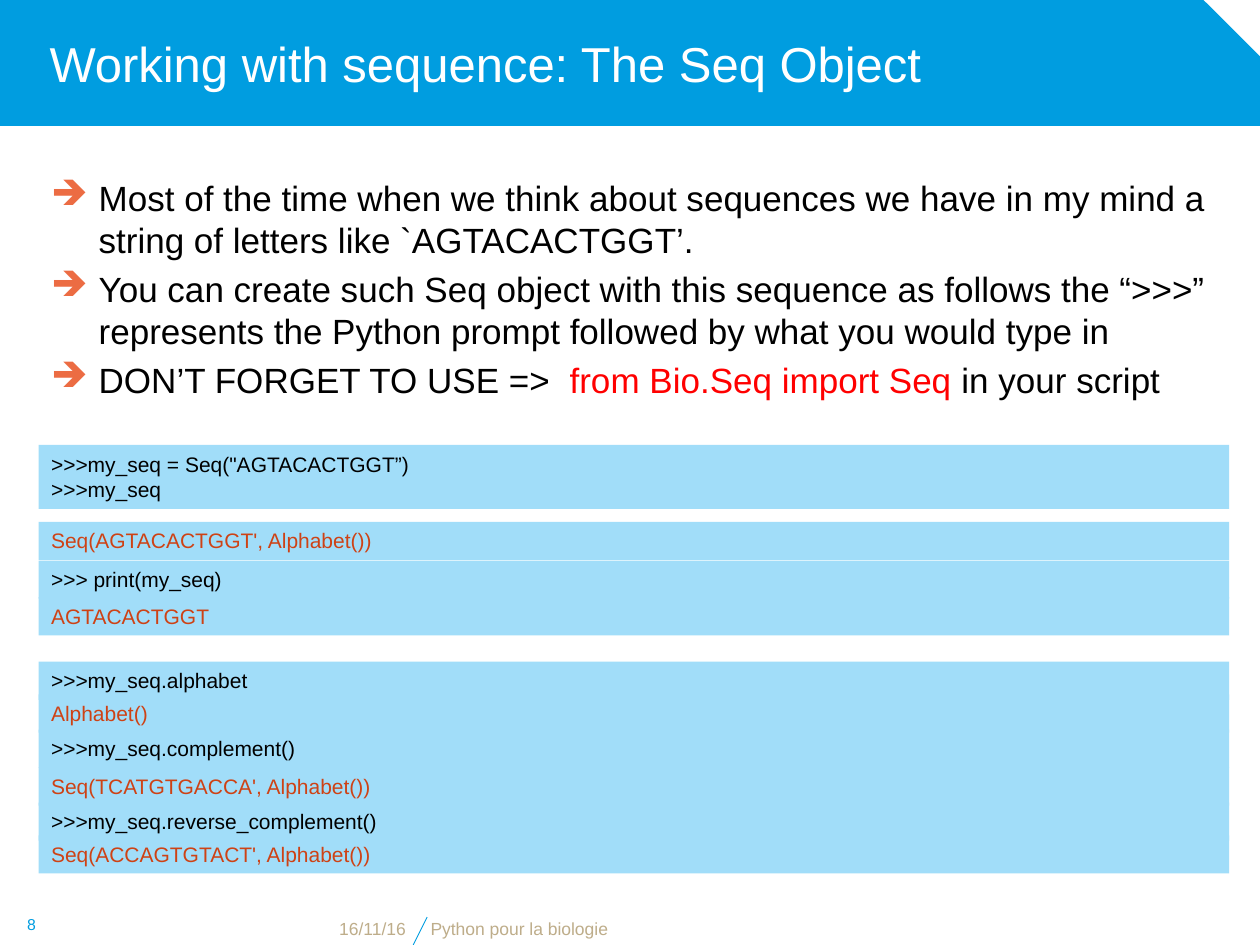
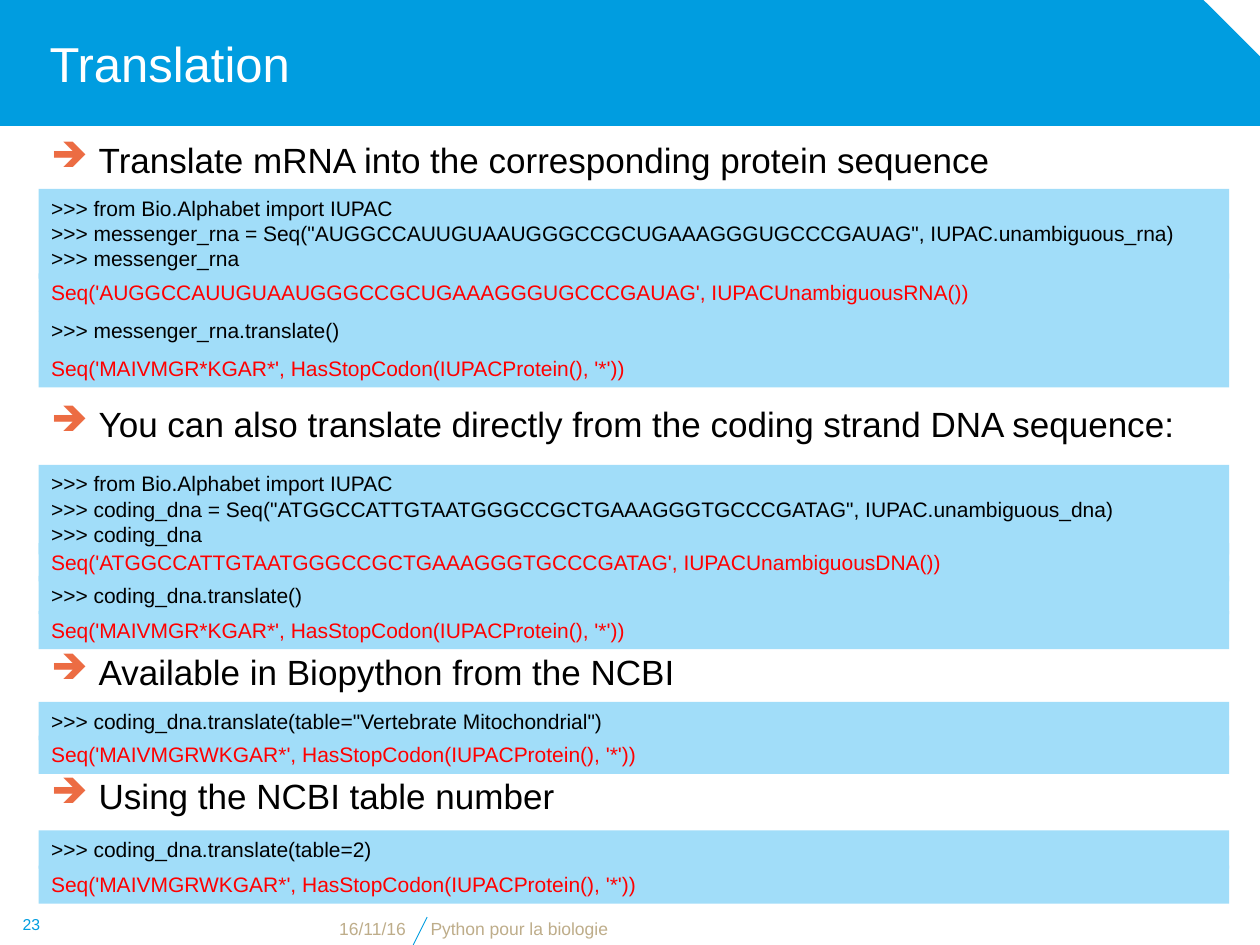
from dataclasses import dataclass

from lxml import etree
from pptx import Presentation
from pptx import util as u
from pptx.dml.color import RGBColor
from pptx.enum import shapes, text
from pptx.oxml import ns

Cm, Pt = u.Cm, u.Pt
LEFT, WIDTH = 0.78, 24.0  # shared column of bullets and code, in cm


@dataclass(frozen=True)
class Theme:
    font: str = "Arial"
    blue: str = "009DE0"
    code_fill: str = "A1DDF9"
    bullet: str = "EC6C43"
    footer: str = "BEAD8A"
    rust: str = "CE4215"
    red: str = "FF0000"
    black: str = "000000"
    white: str = "FFFFFF"
    title_size: int = 28
    body_size: int = 20
    code_size: int = 12
    footer_size: int = 10
    number_size: int = 9


def rgb(colour):
    return RGBColor.from_string(colour)


def box(left, top, width, height):
    return Cm(left), Cm(top), Cm(width), Cm(height)


def add_xml(parent, tag, **attrs):
    return etree.SubElement(parent, ns.qn(tag), attrs)


class Deck:
    def __init__(self, theme):
        self.theme = theme
        self.prs = Presentation()
        self.prs.slide_width, self.prs.slide_height = Cm(25.4), Cm(19.05)
        self.s = None

    def new_slide(self, title, number):
        self.s = self.prs.slides.add_slide(self.prs.slide_layouts[5])
        self.title(title)
        self.band()
        self.footer(number)

    def style(self, p, size, colour, align=text.PP_ALIGN.LEFT):
        p.alignment = align
        p.font.name, p.font.size = self.theme.font, Pt(size)
        p.font.color.rgb = rgb(colour)

    def title(self, words):
        sp = self.s.shapes.title
        sp.left, sp.top, sp.width, sp.height = box(0, 0, 24.13, 2.54)
        tf = sp.text_frame
        tf.text = words
        tf.auto_size = text.MSO_AUTO_SIZE.NONE
        tf.vertical_anchor = text.MSO_ANCHOR.MIDDLE
        tf.margin_left = Cm(1)
        self.style(tf.paragraphs[0], self.theme.title_size, self.theme.white)

    def rect(self, kind, frame, fill):
        sp = self.s.shapes.add_shape(kind, *frame)
        sp.shadow.inherit = False
        sp.fill.solid()
        sp.fill.fore_color.rgb = rgb(fill)
        sp.line.fill.background()
        return sp

    def band(self):
        """Blue band with a cut corner, behind the title."""
        sp = self.rect(shapes.MSO_SHAPE.SNIP_1_RECTANGLE, box(0, 0, 25.43, 2.54), self.theme.blue)
        sp.adjustments[0] = 0.46
        self.s.shapes.title.element.addprevious(sp.element)

    def label(self, words, frame, size, colour, align, anchor):
        tf = self.s.shapes.add_textbox(*frame).text_frame
        tf.word_wrap = True
        tf.vertical_anchor = anchor
        tf.text = words
        self.style(tf.paragraphs[0], size, colour, align)

    def footer(self, number):
        t, align, anchor = self.theme, text.PP_ALIGN, text.MSO_ANCHOR
        slash = self.s.shapes.add_connector(
            shapes.MSO_CONNECTOR.STRAIGHT, Cm(8.33), Cm(19.05), Cm(8.61), Cm(18.49))
        slash.line.color.rgb, slash.line.width = rgb(t.blue), Pt(0.5)
        add_xml(slash.element.spPr, "a:effectLst")
        self.label("16/11/16", box(2.51, 18.48, 5.92, 0.58),
                   t.footer_size, t.footer, align.RIGHT, anchor.BOTTOM)
        self.label("Python pour la biologie", box(8.43, 18.48, 14.6, 0.58),
                   t.footer_size, t.footer, align.LEFT, anchor.BOTTOM)
        self.label(str(number), box(0, 18.21, 1.27, 0.84),
                   t.number_size, t.blue, align.CENTER, anchor.MIDDLE)

    def bullets(self, top, items, height=1.55):
        """Arrow bullets; an item is a string or a list of (words, colour)."""
        t = self.theme
        tf = self.s.shapes.add_textbox(*box(LEFT, top, WIDTH, height)).text_frame
        tf.word_wrap = True
        for i, item in enumerate(items):
            p = tf.add_paragraph() if i else tf.paragraphs[0]
            pPr = p._p.get_or_add_pPr()
            indent = Cm(0.96)
            pPr.set("marL", str(indent))
            pPr.set("indent", str(-indent))
            add_xml(add_xml(pPr, "a:buClr"), "a:srgbClr", val=t.bullet)
            add_xml(pPr, "a:buChar", char="➔")
            p.space_before = Pt(t.body_size * 0.2)
            self.style(p, t.body_size, t.black)
            for words, colour in [(item, None)] if isinstance(item, str) else item:
                r = p.add_run()
                r.text = words
                if colour:
                    r.font.color.rgb = rgb(colour)

    def code(self, blocks, answer):
        """Code strips from the lowest up; lines without a prompt take the answer colour."""
        t = self.theme
        for top, *lines in reversed(blocks):
            frame = box(LEFT, top, WIDTH, 0.25 + 0.52 * len(lines))
            tf = self.rect(shapes.MSO_SHAPE.RECTANGLE, frame, t.code_fill).text_frame
            tf.word_wrap = True
            tf.auto_size = text.MSO_AUTO_SIZE.SHAPE_TO_FIT_TEXT
            tf.vertical_anchor = text.MSO_ANCHOR.TOP
            tf.text = "\n".join(lines)
            for p, line in zip(tf.paragraphs, lines):
                self.style(p, t.code_size, t.black if line.startswith(">>>") else answer)


def seq_object_slide(deck):
    t = deck.theme
    deck.new_slide("Working with sequence: The Seq Object", 8)
    deck.bullets(3.43, [
        "Most of the time when we think about sequences we have in my mind a "
        "string of letters like `AGTACACTGGT’.",
        "You can create such Seq object with this sequence as follows the “>>>” "
        "represents the Python prompt followed by what you would type in",
        [("DON’T FORGET TO USE =>  ", None), ("from Bio.Seq import Seq ", t.red),
         ("in your script", None)],
    ], height=5.03)
    deck.code([
        (8.97, '>>>my_seq = Seq("AGTACACTGGT”)', ">>>my_seq"),
        (10.52, "Seq(AGTACACTGGT', Alphabet())"),
        (11.3, ">>> print(my_seq)"),
        (12.04, "AGTACACTGGT"),
        (13.34, ">>>my_seq.alphabet"),
        (14, "Alphabet()"),
        (14.71, ">>>my_seq.complement()"),
        (15.47, "Seq(TCATGTGACCA', Alphabet())"),
        (16.18, ">>>my_seq.reverse_complement()"),
        (16.84, "Seq(ACCAGTGTACT', Alphabet())"),
    ], t.rust)


def translation_slide(deck):
    deck.new_slide("Translation", 23)
    for top, words in [
        (2.67, "Translate mRNA into the corresponding protein sequence"),
        (7.98, "You can also translate directly from the coding strand DNA sequence:"),
        (12.98, "Available in Biopython from the NCBI"),
        (15.49, "Using the NCBI table number"),
    ]:
        deck.bullets(top, [words])
    rna = "AUGGCCAUUGUAAUGGGCCGCUGAAAGGGUGCCCGAUAG"
    dna = rna.replace("U", "T")
    protein = "Seq('MAIVMGR*KGAR*', HasStopCodon(IUPACProtein(), '*'))"
    mito_protein = protein.replace("R*K", "RWK")
    load = ">>> from Bio.Alphabet import IUPAC"
    deck.code([
        (3.81, load, f'>>> messenger_rna = Seq("{rna}", IUPAC.unambiguous_rna)',
         ">>> messenger_rna"),
        (5.51, f"Seq('{rna}', IUPACUnambiguousRNA())"),
        (6.27, ">>> messenger_rna.translate()"),
        (7.04, protein),
        (9.37, load, f'>>> coding_dna = Seq("{dna}", IUPAC.unambiguous_dna)',
         ">>> coding_dna"),
        (10.95, f"Seq('{dna}', IUPACUnambiguousDNA())"),
        (11.61, ">>> coding_dna.translate()"),
        (12.32, protein),
        (14.15, '>>> coding_dna.translate(table="Vertebrate Mitochondrial")'),
        (14.83, mito_protein),
        (16.74, ">>> coding_dna.translate(table=2)"),
        (17.45, mito_protein),
    ], deck.theme.red)


def main():
    deck = Deck(Theme())
    seq_object_slide(deck)
    translation_slide(deck)
    deck.prs.save("out.pptx")


if __name__ == "__main__":
    main()
